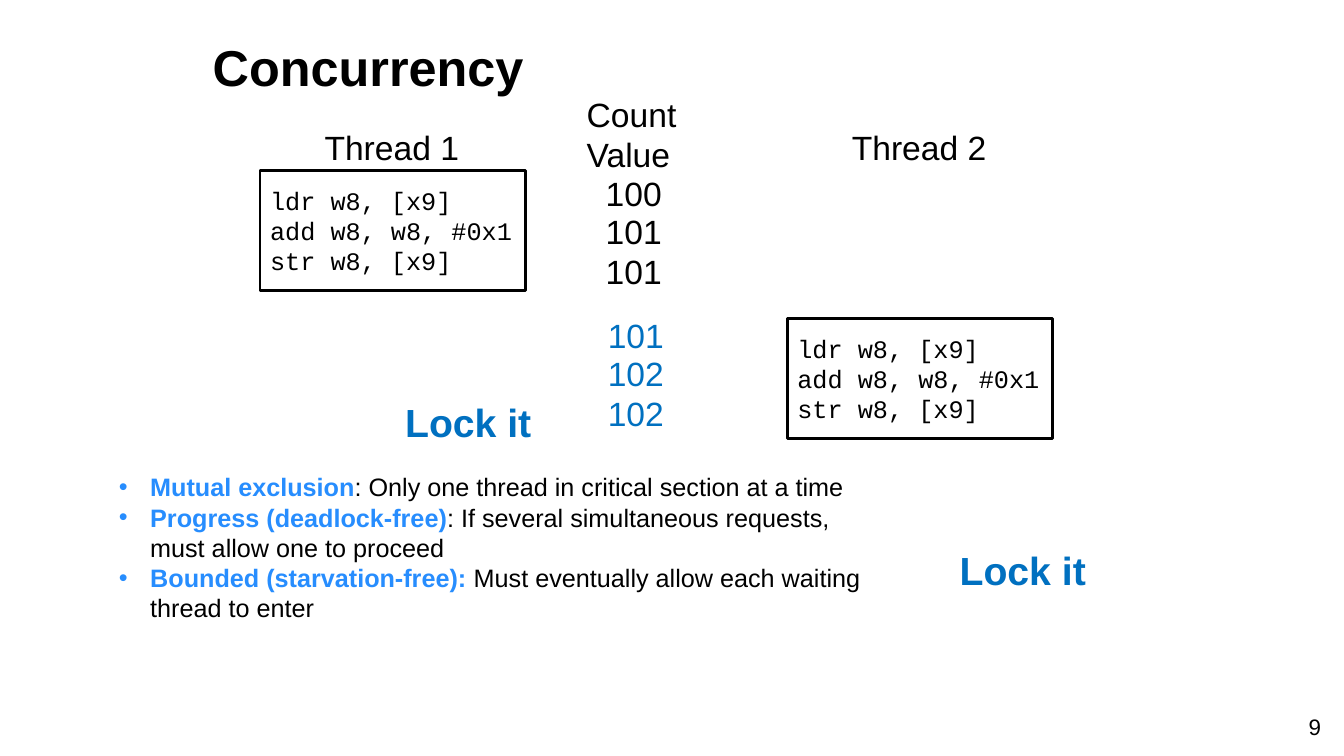
from lxml.etree import SubElement
from pptx import Presentation
from pptx.dml.color import RGBColor
from pptx.enum.shapes import MSO_SHAPE
from pptx.enum.text import MSO_ANCHOR, MSO_AUTO_SIZE, PP_ALIGN
from pptx.oxml.ns import qn
from pptx.util import Inches, Pt

COLORS = {"ink": "000000", "paper": "FFFFFF", "blue": "0070C0", "term": "278DFE"}
CODE = ["ldr w8, [x9]", "add w8, w8, #0x1", "str w8, [x9]"]
RULES = [
    ("Mutual exclusion", ": Only one thread in critical section at a time"),
    ("Progress (deadlock-free)",
     ": If several simultaneous requests, must allow one to proceed"),
    ("Bounded (starvation-free): ",
     "Must eventually allow each waiting thread to enter"),
]


def color(name):
    return RGBColor.from_string(COLORS[name])


def write(para, text, size=24, ink="ink", bold=False, face="Arial",
          align=PP_ALIGN.LEFT):
    para.alignment = align
    run = para.add_run()
    run.text = text
    run.font.size = Pt(size)
    run.font.name = face
    run.font.bold = bold
    run.font.color.rgb = color(ink)


def fill(frame, lines, **style):
    for i, line in enumerate(lines):
        para = frame.add_paragraph() if i else frame.paragraphs[0]
        write(para, line, **style)


def place(shape, box):
    shape.left, shape.top, shape.width, shape.height = map(Inches, box)


def label(slide, box, *lines, **style):
    frame = slide.shapes.add_textbox(*map(Inches, box)).text_frame
    frame.word_wrap = False
    fill(frame, lines, **style)


def title(slide, box):
    shape = slide.shapes.title
    place(shape, box)
    frame = shape.text_frame
    frame.auto_size = MSO_AUTO_SIZE.NONE
    frame.vertical_anchor = MSO_ANCHOR.MIDDLE
    fill(frame, ["Concurrency"], size=36, bold=True)


def thread(slide, box, name, rise):
    left, top, width, height = box
    label(slide, (left + 0.54, top - rise, 1.55, 0.5), name)
    panel = slide.shapes.add_shape(MSO_SHAPE.RECTANGLE, *map(Inches, box))
    panel.shadow.inherit = False
    panel.fill.solid()
    panel.fill.fore_color.rgb = color("paper")
    panel.line.color.rgb = color("ink")
    panel.line.width = Pt(2)
    frame = panel.text_frame
    frame.vertical_anchor = MSO_ANCHOR.MIDDLE
    fill(frame, CODE, size=18, face="Courier New")


def counts(slide, box, values, ink):
    left, top, width, height = box
    for value, drop in zip(values, (0, 0.37, 0.77)):
        label(slide, (left, top + drop, width, height), value, ink=ink)


def lock(slide, box):
    label(slide, box, "Lock it", size=28, ink="blue", bold=True)


def bullet(para):
    props = para._p.get_or_add_pPr()
    props.set("marL", str(Inches(0.81)))
    props.set("indent", str(Inches(-0.31)))
    SubElement(props, qn("a:buFont")).set("typeface", "Arial")
    SubElement(props, qn("a:buChar")).set("char", "•")


def rules(slide, box):
    body = slide.placeholders[1]
    place(body, box)
    frame = body.text_frame
    frame.auto_size = MSO_AUTO_SIZE.NONE
    frame.vertical_anchor = MSO_ANCHOR.TOP
    for i, (term, text) in enumerate(RULES):
        para = frame.add_paragraph() if i else frame.paragraphs[0]
        para.level = 1
        bullet(para)
        para.space_before = Pt(0)
        write(para, term, size=18, ink="term", bold=True)
        write(para, text, size=18)


def main():
    deck = Presentation()
    deck.slide_width, deck.slide_height = Inches(13.33), Inches(7.5)
    slide = deck.slides.add_slide(deck.slide_layouts[1])
    title(slide, (2.01, 0.3, 9.3, 0.71))
    thread(slide, (2.58, 1.69, 2.63, 1.19), "Thread 1", 0.48)
    thread(slide, (7.81, 3.16, 2.63, 1.19), "Thread 2", 1.95)
    label(slide, (5.72, 0.88, 1.19, 0.91), "Count", "Value")
    counts(slide, (5.91, 1.67, 0.76, 0.5), ("100", "101", "101"), "ink")
    counts(slide, (5.93, 3.08, 0.76, 0.5), ("101", "102", "102"), "blue")
    lock(slide, (3.92, 3.9, 1.47, 0.57))
    lock(slide, (9.42, 5.37, 1.47, 0.57))
    rules(slide, (0.58, 4.63, 8.08, 1.62))
    label(slide, (12.58, 7.03, 0.62, 0.4), "9", size=16, align=PP_ALIGN.RIGHT)
    deck.save("out.pptx")


if __name__ == "__main__":
    main()
